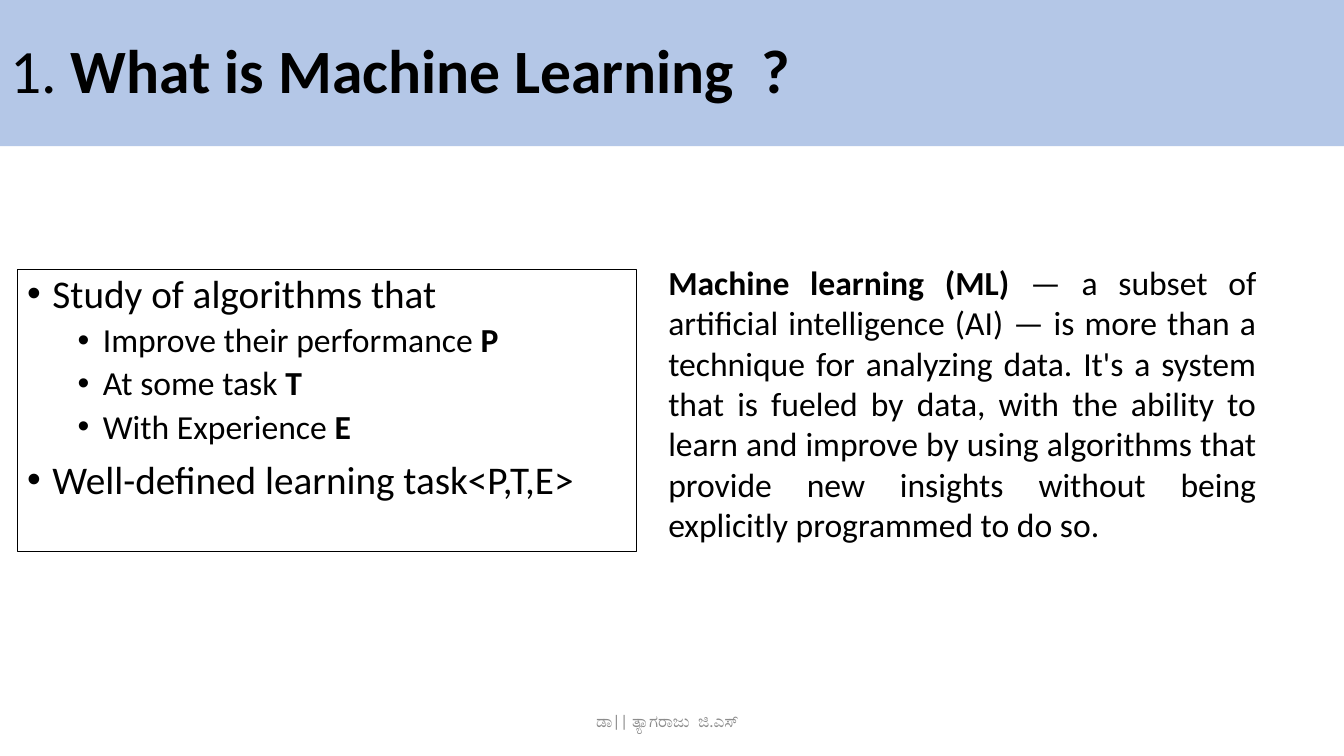
from lxml.etree import SubElement
from pptx import Presentation
from pptx.dml.color import RGBColor
from pptx.enum.text import MSO_ANCHOR, MSO_AUTO_SIZE, PP_ALIGN
from pptx.oxml.ns import qn
from pptx.util import Inches, Pt

BLACK = RGBColor(0x00, 0x00, 0x00)
BAND_BLUE = RGBColor(0xB4, 0xC7, 0xE7)
FOOTER_GRAY = RGBColor(0x8C, 0x8C, 0x8C)
FONT = "Calibri"


def place(shape, left, top, width, height, anchor):
    """Position a shape, in inches, and fix how its text sits in it."""
    shape.left, shape.top = Inches(left), Inches(top)
    shape.width, shape.height = Inches(width), Inches(height)
    frame = shape.text_frame
    frame.word_wrap = True
    frame.auto_size = MSO_AUTO_SIZE.NONE
    frame.vertical_anchor = anchor
    return frame


def write(para, spans, size, color=BLACK, align=PP_ALIGN.LEFT):
    """Fill a paragraph with (text, bold) spans in one size and colour."""
    para.alignment = align
    para.font.name, para.font.size = FONT, Pt(size)
    para.font.color.rgb = color
    for text, bold in spans:
        span = para.add_run()
        span.text = text
        span.font.bold = bold


deck = Presentation()
deck.slide_width, deck.slide_height = Inches(13.33), Inches(7.5)
page = deck.slides.add_slide(deck.slide_layouts.get_by_name("Title and Content"))
title, body = page.placeholders

# Title band
frame = place(title, 0, 0, 13.33, 1.45, MSO_ANCHOR.MIDDLE)
title.fill.solid()
title.fill.fore_color.rgb = BAND_BLUE
heading = frame.paragraphs[0]
heading.line_spacing = 0.9
write(heading, [("1. ", False), ("What is Machine Learning  ?", True)], 44)

# Boxed definition list
frame = place(body, 0.17, 2.67, 6.14, 2.8, MSO_ANCHOR.TOP)
body.line.color.rgb = BLACK
body.line.width = Pt(0.5)
points = [
    (0, [("Study of algorithms that", False)]),
    (1, [("Improve their performance ", False), ("P", True)]),
    (1, [("At some task ", False), ("T", True)]),
    (1, [("With Experience ", False), ("E", True)]),
    (0, [("Well-defined learning task<P,T,E>", False)]),
]
for index, (level, spans) in enumerate(points):
    para = frame.add_paragraph() if index else frame.paragraphs[0]
    para.level = level
    para.line_spacing = 0.9
    para.space_before = Pt((10, 5)[level] if index else 0)
    properties = para._p.get_or_add_pPr()
    properties.set("marL", str(Inches(0.25 + 0.5 * level)))
    properties.set("indent", str(Inches(-0.25)))
    SubElement(properties, qn("a:buFont"), typeface="Arial")
    SubElement(properties, qn("a:buChar"), char="•")
    write(para, spans, (28, 24)[level])

# Explanation
explanation = page.shapes.add_textbox(0, 0, 0, 0)
frame = place(explanation, 6.53, 2.55, 6.03, 2.93, MSO_ANCHOR.TOP)
write(frame.paragraphs[0], [
    ("Machine learning (ML) ", True),
    ("— a subset of artificial intelligence (AI) — is more than a technique "
     "for analyzing data. It's a system that is fueled by data, with the "
     "ability to learn and improve by using algorithms that provide new "
     "insights without being explicitly programmed to do so.", False),
], 24, align=PP_ALIGN.JUSTIFY)

# Footer
footer = page.shapes.add_textbox(0, 0, 0, 0)
frame = place(footer, 4.42, 6.95, 4.5, 0.4, MSO_ANCHOR.MIDDLE)
frame.margin_right = Inches(0.2)
write(frame.paragraphs[0], [("ಡಾ|| ತ್ಯಾಗರಾಜು  ಜಿ.ಎಸ್", False)], 12,
      FOOTER_GRAY, PP_ALIGN.CENTER)

deck.save("out.pptx")
